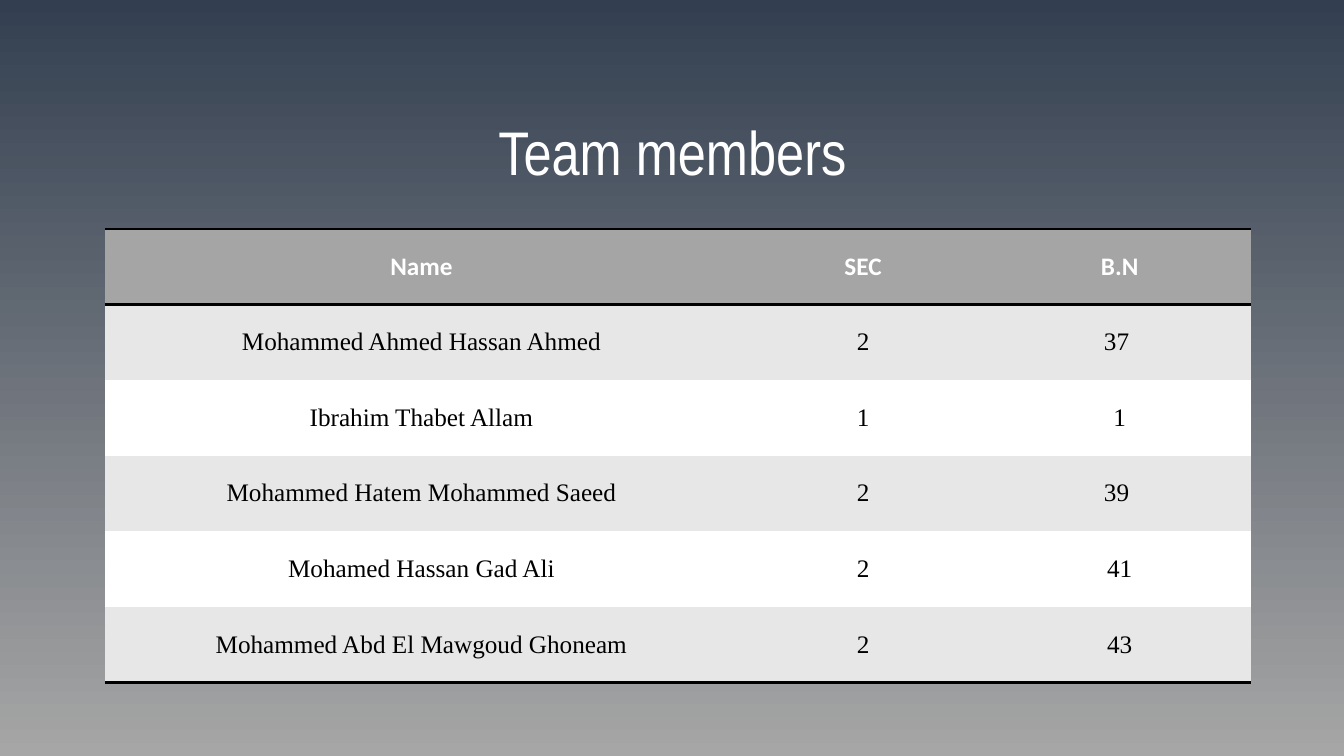
from pptx import Presentation
from pptx.dml.color import RGBColor
from pptx.enum.text import MSO_ANCHOR as Anchor, PP_ALIGN as Align
from pptx.oxml import parse_xml
from pptx.oxml.ns import nsdecls
from pptx.util import Inches, Pt

COLORS = {
    "sky": "333F50",
    "ground": "A6A6A6",
    "header": "A5A5A5",
    "band": "E7E7E7",
    "white": "FFFFFF",
    "black": "000000",
}
TITLE_FORMAT = {"name": "Arial Narrow", "size": Pt(44), "bold": False}
HEADER_FORMAT = {"name": "Calibri", "size": Pt(18), "bold": True}
BODY_FORMAT = {"name": "Times New Roman", "size": Pt(18), "bold": False}
NO_STYLE = "{2D5ABB26-0587-4C30-8999-92F81FD0307C}"
COLUMN_WIDTHS = [6.28, 2.48, 2.61]
MEMBERS = [
    ("Name", "SEC", "B.N"),
    ("Mohammed Ahmed Hassan Ahmed", "2", "37 "),
    ("Ibrahim Thabet Allam", "1", "1"),
    ("Mohammed Hatem Mohammed Saeed", "2", "39 "),
    ("Mohamed Hassan Gad Ali", "2", "41"),
    ("Mohammed Abd El Mawgoud Ghoneam", "2", "43"),
]


def color(name):
    return RGBColor.from_string(COLORS[name])


def write(frame, text, formats, color_name):
    paragraph = frame.paragraphs[0]
    paragraph.alignment = Align.CENTER
    run = paragraph.add_run()
    run.text = text
    for key, value in formats.items():
        setattr(run.font, key, value)
    run.font.color.rgb = color(color_name)
    return paragraph


def add_border(cell, side):
    cell._tc.get_or_add_tcPr().append(parse_xml(
        f'<a:ln{side} {nsdecls("a")} w="{Pt(2)}"><a:solidFill>'
        f'<a:srgbClr val="{COLORS["black"]}"/></a:solidFill></a:ln{side}>'))


def paint_background(slide):
    fill = slide.background.fill
    fill.gradient()
    fill.gradient_angle = 270
    for stop, position, name in zip(fill.gradient_stops, (0, 1), ("sky", "ground")):
        stop.position = position
        stop.color.rgb = color(name)


def add_title(slide, left, top, width, height):
    box = slide.shapes.add_textbox(*map(Inches, (left, top, width, height)))
    frame = box.text_frame
    frame.word_wrap = True
    frame.vertical_anchor = Anchor.MIDDLE
    paragraph = write(frame, "Team members", TITLE_FORMAT, "white")
    paragraph.line_spacing = 0.9


def add_members(slide, left, top, width, height):
    frame = slide.shapes.add_table(len(MEMBERS), len(COLUMN_WIDTHS),
                                   *map(Inches, (left, top, width, height)))
    table = frame.table
    table._tbl.tblPr.find("{*}tableStyleId").text = NO_STYLE
    for column, column_width in zip(table.columns, COLUMN_WIDTHS):
        column.width = Inches(column_width)
    for row, values in enumerate(MEMBERS):
        is_header = row == 0
        fill_name = "header" if is_header else "band" if row % 2 else "white"
        sides = "TB" if is_header else "B" if row == len(MEMBERS) - 1 else ""
        for column, text in enumerate(values):
            cell = table.cell(row, column)
            cell.vertical_anchor = Anchor.MIDDLE
            for side in sides:
                add_border(cell, side)
            cell.fill.solid()
            cell.fill.fore_color.rgb = color(fill_name)
            write(cell.text_frame, text,
                  HEADER_FORMAT if is_header else BODY_FORMAT,
                  "white" if is_header else "black")


def main():
    presentation = Presentation()
    presentation.slide_width = Inches(13.33)
    presentation.slide_height = Inches(7.5)
    slide = presentation.slides.add_slide(presentation.slide_layouts[6])
    paint_background(slide)
    add_title(slide, 0.92, 0.82, 11.5, 1.45)
    add_members(slide, 1.04, 2.27, sum(COLUMN_WIDTHS), 4.5)
    presentation.save("out.pptx")


if __name__ == "__main__":
    main()
